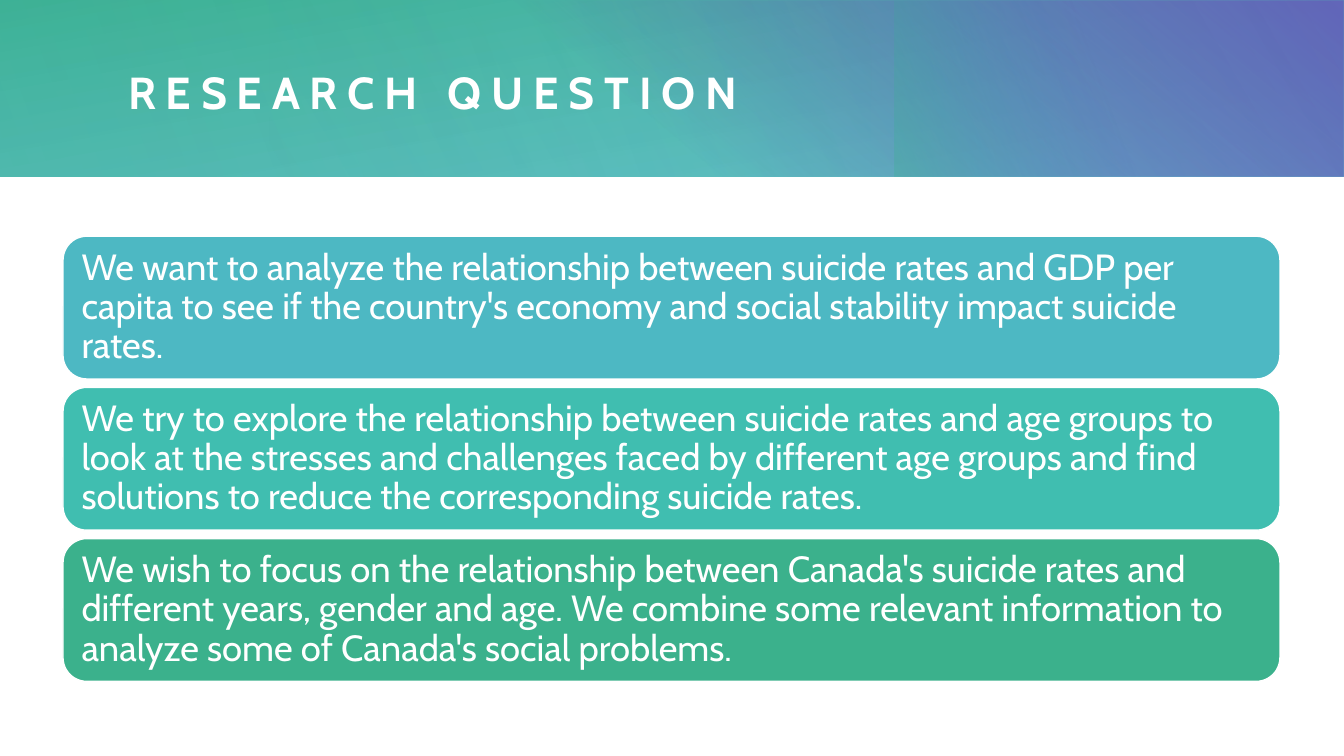
from pptx import Presentation
from pptx.dml.color import RGBColor
from pptx.enum.shapes import MSO_SHAPE
from pptx.enum.text import MSO_ANCHOR, MSO_AUTO_SIZE, PP_ALIGN
from pptx.oxml import parse_xml
from pptx.oxml.ns import nsdecls
from pptx.util import Pt

RECT, ROUND = MSO_SHAPE.RECTANGLE, MSO_SHAPE.ROUNDED_RECTANGLE
MIDDLE, LEFT = MSO_ANCHOR.MIDDLE, PP_ALIGN.LEFT
NO_FIT = MSO_AUTO_SIZE.NONE
FONT = "Cabin"
WHITE, TEAL, MINT, GREEN = "FFFFFF", "4DB8C3", "40BEB0", "3BB18C"
BLUE, PURPLE = "3B74B1", "6B43B5"

# Box, rotation, angle, stops of (position %, colour, opacity %)
LAYERS = [
    ((0, 0, 1280, 168), 0, 260, [(0, TEAL, 83), (100, GREEN, 100)]),
    ((462, 1, 818, 167), 0, 310, [(22, PURPLE, 0), (99, PURPLE, 100)]),
    ((947, -95, 168, 359), 270, 250, [(45, BLUE, 0), (99, GREEN, 33)]),
    ((257, 0, 1022, 168), 180, 330, [(0, TEAL, 30), (99, TEAL, 0)]),
    ((0, 0, 830, 168), 0, 340, [(0, TEAL, 21), (99, TEAL, 0)]),
]
CARDS = [
    (TEAL, "We want to analyze the relationship between suicide rates and GDP "
           "per capita to see if the country's economy and social stability "
           "impact suicide rates."),
    (MINT, "We try to explore the relationship between suicide rates and age "
           "groups to look at the stresses and challenges faced by different "
           "age groups and find solutions to reduce the corresponding suicide "
           "rates."),
    (GREEN, "We wish to focus on the relationship between Canada's suicide "
            "rates and different years, gender and age. We combine some "
            "relevant information to analyze some of Canada's social problems."),
]


def px(n):
    return n * 9525


def rgb(code):
    return RGBColor.from_string(code)


def add_box(slide, kind, box):
    shape = slide.shapes.add_shape(kind, *map(px, box))
    shape.shadow.inherit = False
    return shape


def blend(shape, angle, stops):
    """Fill a shape with a linear gradient of part-clear colours."""
    marks = "".join(
        f'<a:gs pos="{pos * 1000}"><a:srgbClr val="{code}">'
        f'<a:alpha val="{alpha * 1000}"/></a:srgbClr></a:gs>'
        for pos, code, alpha in stops)
    fill = parse_xml(
        f'<a:gradFill {nsdecls("a")} rotWithShape="1"><a:gsLst>{marks}</a:gsLst>'
        f'<a:lin ang="{angle * 60000}" scaled="0"/></a:gradFill>')
    shape._element.spPr.insert(2, fill)


def set_text(shape, text, size, inset):
    frame = shape.text_frame
    frame.text = text
    frame.word_wrap = True
    frame.auto_size = NO_FIT
    frame.vertical_anchor = MIDDLE
    frame.margin_left = frame.margin_right = px(inset)
    frame.margin_top = frame.margin_bottom = px(inset)
    par = frame.paragraphs[0]
    par.alignment = LEFT
    par.line_spacing = 0.9
    font = par.runs[0].font
    font.name, font.size = FONT, Pt(size)
    font.color.rgb = rgb(WHITE)
    return par.runs[0]


def add_head(slide, box):
    # Gradient layers of the band
    left, top, width, height = box
    for (x, y, w, h), turn, angle, stops in LAYERS:
        shape = add_box(slide, RECT, (left + x, top + y, w, h))
        shape.rotation = turn
        blend(shape, angle, stops)
        shape.line.fill.background()
    # Title, raised above the band
    title = slide.shapes.title
    title.left, title.top = px(left + 122), px(top + 39)
    title.width, title.height = px(width - 190), px(height - 66)
    run = set_text(title, "RESEARCH QUESTION", 32, 0)
    run.font.bold = True
    run._r.get_or_add_rPr().set("spc", "700")
    slide.shapes._spTree.append(title._element)


def add_cards(slide, box, gap):
    left, top, width, height = box
    tall = (height - gap * (len(CARDS) - 1)) // len(CARDS)
    for i, (code, text) in enumerate(CARDS):
        card = add_box(slide, ROUND, (left, top + i * (tall + gap), width, tall))
        card.fill.solid()
        card.fill.fore_color.rgb = rgb(code)
        card.line.color.rgb = rgb(WHITE)
        card.line.width = Pt(1)
        set_text(card, text, 26, 11)


def main():
    deck = Presentation()
    deck.slide_width, deck.slide_height = px(1280), px(720)
    slide = deck.slides.add_slide(deck.slide_layouts[5])
    add_head(slide, (0, 0, 1280, 168))
    add_cards(slide, (60, 225, 1159, 424), 8)
    deck.save("out.pptx")


if __name__ == "__main__":
    main()
